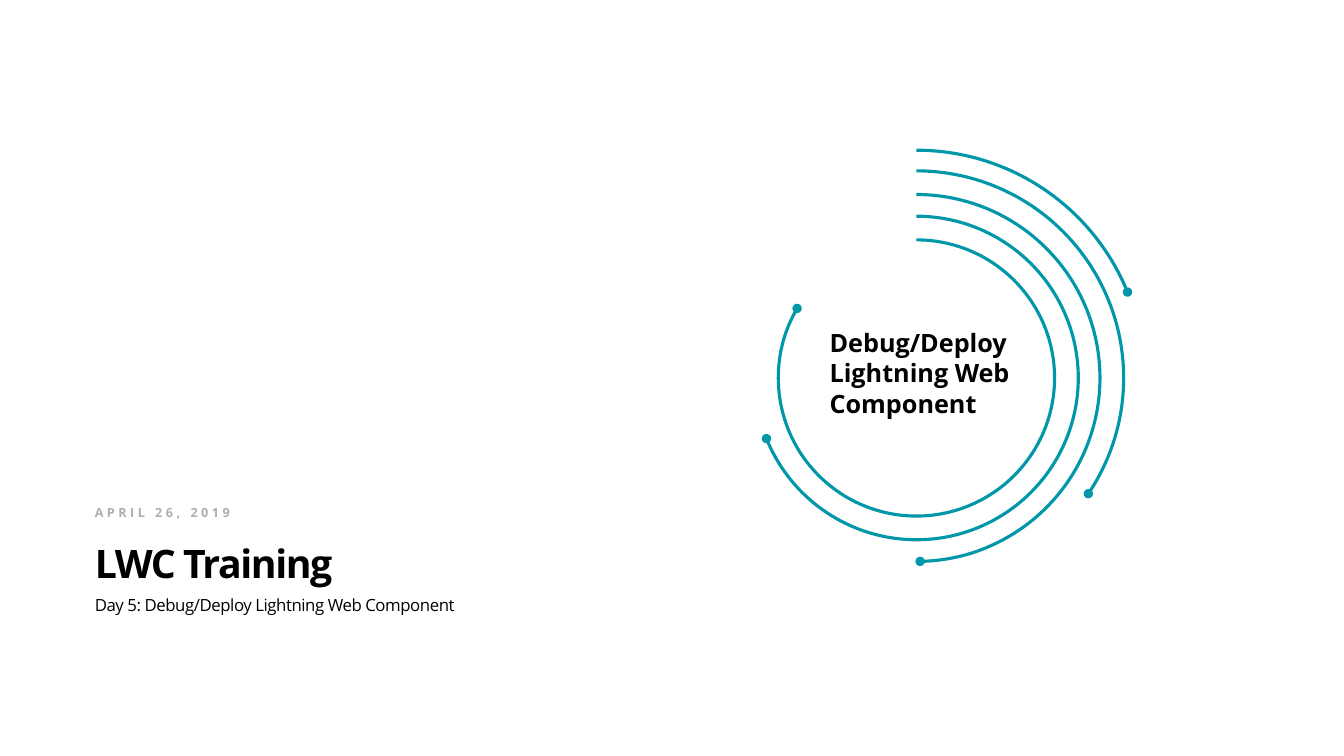
import pptx
import pptx.util
import pptx.dml.color
import pptx.enum.shapes
import pptx.enum.text
import pptx.oxml
import pptx.oxml.ns

Inch = pptx.util.Inches
Point = pptx.util.Pt
Color = pptx.dml.color.RGBColor
Anchor = pptx.enum.text.MSO_ANCHOR
Fit = pptx.enum.text.MSO_AUTO_SIZE

BLACK = Color(0x00, 0x00, 0x00)
GREY = Color(0xAE, 0xAE, 0xAE)
TEAL = Color(0x00, 0x97, 0xA9)

WIDE, HIGH = 13.33, 7.5
LEFT, SPAN = 0.94, 4.82
MID = (9.09, HIGH / 2)
START = 270
UNIT = 0.6

RINGS = [(4.52, 337.84), (4.11, 33.96), (3.64, 88.85), (3.21, 158), (2.74, 210.23)]

TEXTS = [
    {"text": "LWC Training", "box": (LEFT, 5.28, SPAN, 0.54), "pad": (0, 0.05, 0.1, 0),
     "font": {"size": Point(28), "bold": True}, "color": BLACK, "track": -100,
     "para": {"line_spacing": 0.85}, "frame": {"vertical_anchor": Anchor.BOTTOM}},
    {"text": "Day 5: Debug/Deploy Lightning Web Component",
     "box": (LEFT, 5.9, SPAN, 0.52), "pad": (0, 0, 0, 0),
     "font": {"size": Point(12), "bold": False}, "color": BLACK, "track": -30,
     "para": {"space_before": Point(10)}, "frame": {"vertical_anchor": Anchor.TOP}},
    {"text": "APRIL 26, 2019", "box": (LEFT, 5.01, SPAN, 0.38), "pad": (0, 0, 0, 0),
     "font": {"size": Point(9), "bold": True}, "color": GREY, "track": 250,
     "para": {"space_before": Point(10)}, "frame": {"vertical_anchor": Anchor.TOP}},
    {"text": "Debug/Deploy Lightning Web Component",
     "box": (8.13, 3.2, 2.06, 1.01), "pad": (0.1, 0.05, 0.1, 0.05),
     "font": {"size": Point(18), "bold": True}, "color": BLACK, "track": 0,
     "para": {}, "frame": {"auto_size": Fit.SHAPE_TO_FIT_TEXT}},
]


def apply(item, look):
    for key, value in look.items():
        setattr(item, key, value)


def add_ring(slide, size, end):
    left, top = (mid - size / 2 for mid in MID)
    ring = slide.shapes.add_shape(
        pptx.enum.shapes.MSO_SHAPE.ARC, *map(Inch, (left, top, size, size)))
    ring.shadow.inherit = False
    ring.adjustments[0] = START * UNIT
    ring.adjustments[1] = end * UNIT
    ring.fill.background()
    ring.line.color.rgb = TEAL
    ring.line.width = Point(2.25)
    tail = pptx.oxml.parse_xml(
        "<a:tailEnd %s type='oval'/>" % pptx.oxml.ns.nsdecls("a"))
    ring.line._get_or_add_ln().append(tail)


def add_text(slide, item):
    box = slide.shapes.add_textbox(*map(Inch, item["box"]))
    frame = box.text_frame
    sides = ("margin_left", "margin_top", "margin_right", "margin_bottom")
    apply(frame, dict(zip(sides, map(Inch, item["pad"]))))
    apply(frame, {"word_wrap": True, **item["frame"]})
    para = frame.paragraphs[0]
    apply(para, item["para"])
    run = para.add_run()
    run.text = item["text"]
    apply(run.font, {"name": "Open Sans", **item["font"]})
    run.font.color.rgb = item["color"]
    run.font._element.set("spc", str(item["track"]))


def main():
    deck = pptx.Presentation()
    apply(deck, {"slide_width": Inch(WIDE), "slide_height": Inch(HIGH)})
    slide = deck.slides.add_slide(deck.slide_layouts[6])
    for size, end in RINGS:
        add_ring(slide, size, end)
    for item in TEXTS:
        add_text(slide, item)
    deck.save("out.pptx")


if __name__ == "__main__":
    main()
